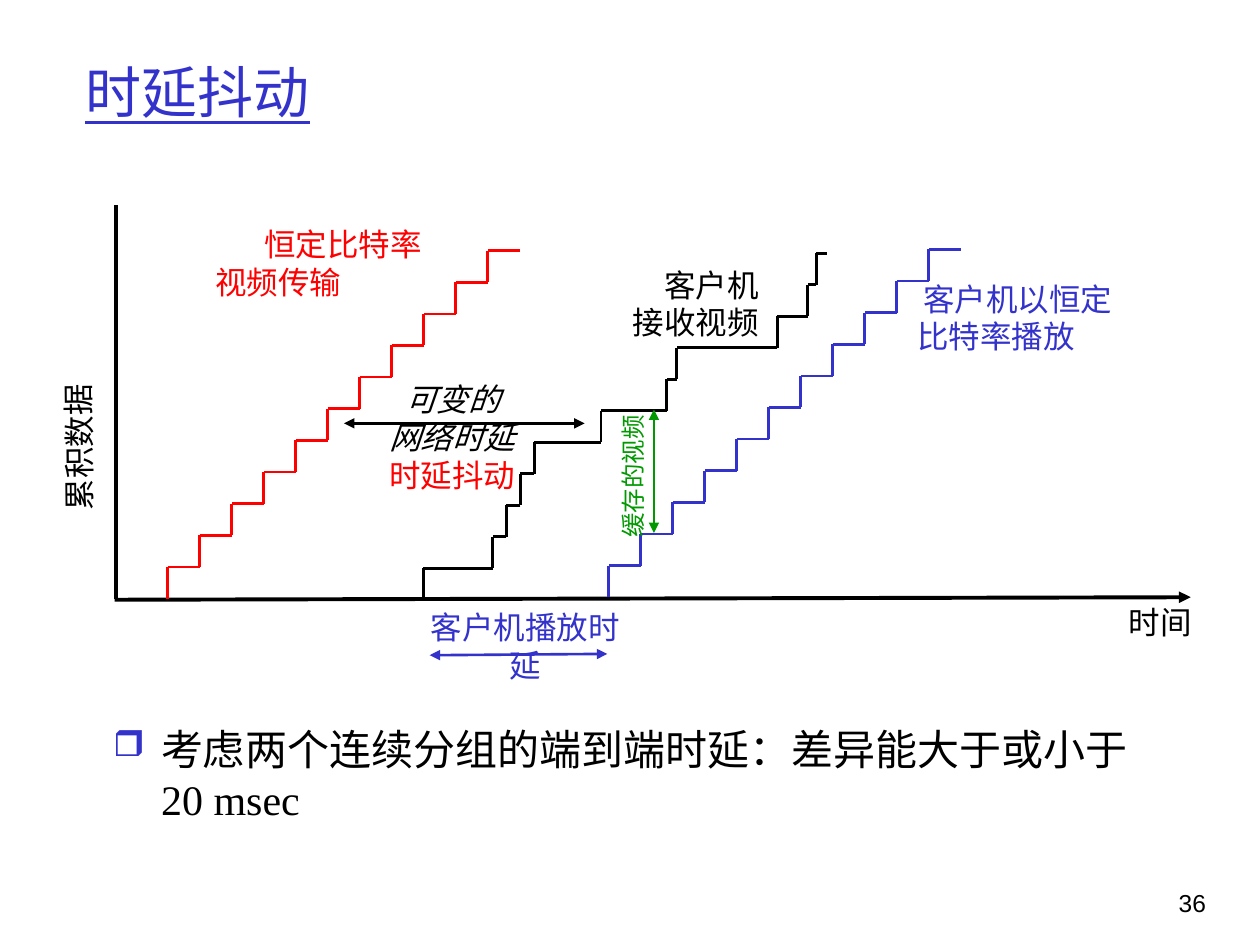
from dataclasses import dataclass

from lxml.etree import SubElement
from pptx import Presentation
from pptx.dml.color import RGBColor
from pptx.enum.shapes import MSO_CONNECTOR
from pptx.enum.text import MSO_ANCHOR, MSO_AUTO_SIZE, PP_ALIGN
from pptx.oxml.ns import qn
from pptx.util import Inches, Pt


@dataclass(frozen=True)
class Theme:
    black: str = "000000"
    red: str = "FF0000"
    blue: str = "3333CC"
    green: str = "009900"
    serif: str = "Times New Roman"
    label: str = "Comic Neue"
    sans: str = "Arial"
    title: int = 32
    body: int = 24
    text: int = 18
    small: int = 14
    axis: float = 2.25
    line: float = 1.5


def write(par, text, font, size, color, italic=False, under=False,
          align=PP_ALIGN.LEFT, left=0, first=0, bullet=None):
    """Fill one paragraph; left and first are indents in inches."""
    par.alignment = align
    props = par._p.get_or_add_pPr()
    if left or first:
        props.set("marL", str(Inches(left)))
        props.set("indent", str(Inches(first)))
    if bullet:
        mark, tint = bullet
        SubElement(SubElement(props, qn("a:buClr")), qn("a:srgbClr"), val=tint)
        SubElement(props, qn("a:buSzPct"), val="85000")
        SubElement(props, qn("a:buChar"), char=mark)
    run = par.add_run()
    run.text = text
    run.font.name = font
    run.font.size = Pt(size)
    run.font.color.rgb = RGBColor.from_string(color)
    run.font.italic = italic
    run.font.underline = under


class Deck:
    def __init__(self, theme):
        self.theme = theme
        self.file = Presentation()
        self.file.slide_width = Inches(10)
        self.file.slide_height = Inches(7.5)
        self.slide = self.file.slides.add_slide(self.file.slide_layouts[6])

    def box(self, x, y, w, h, *pars, wrap=True, grow=True, turn=0,
            anchor=MSO_ANCHOR.TOP, **style):
        """Add a text box; each paragraph is (text, own format)."""
        base = dict(font=self.theme.label, size=self.theme.text,
                    color=self.theme.black)
        shape = self.slide.shapes.add_textbox(
            Inches(x), Inches(y), Inches(w), Inches(h))
        shape.rotation = turn
        frame = shape.text_frame
        frame.word_wrap = wrap
        frame.auto_size = (MSO_AUTO_SIZE.SHAPE_TO_FIT_TEXT if grow
                           else MSO_AUTO_SIZE.NONE)
        frame.vertical_anchor = anchor
        for i, (text, own) in enumerate(pars):
            par = frame.add_paragraph() if i else frame.paragraphs[0]
            write(par, text, **{**base, **style, **own})

    def line(self, x1, y1, x2, y2, color, width=None, head=False, tail=False):
        link = self.slide.shapes.add_connector(
            MSO_CONNECTOR.STRAIGHT,
            Inches(x1), Inches(y1), Inches(x2), Inches(y2))
        link.line.color.rgb = RGBColor.from_string(color)
        link.line.width = Pt(width or self.theme.line)
        stroke = link.line._get_or_add_ln()
        for name, shown in (("a:headEnd", head), ("a:tailEnd", tail)):
            if shown:
                SubElement(stroke, qn(name), type="triangle")
        SubElement(link._element.spPr, qn("a:effectLst"))

    def stairs(self, xs, base, rise, color):
        """Draw a rise at each x but the last, and a tread to the next."""
        for i, (x, after) in enumerate(zip(xs, xs[1:])):
            low = base - i * rise
            high = low - rise
            self.line(x, high, x, low, color)
            self.line(after, high, x, high, color)


def main():
    theme = Theme()
    deck = Deck(theme)

    # Title and body
    deck.box(0.58, 0.25, 8.93, 0.95, ("时延抖动", {}), grow=False,
             anchor=MSO_ANCHOR.MIDDLE, font=theme.serif, size=theme.title,
             color=theme.blue, under=True)
    deck.box(0.8, 5.69, 8.5, 0.97,
             ("考虑两个连续分组的端到端时延：差异能大于或小于20 msec", {}),
             grow=False, font=theme.serif, size=theme.body,
             left=0.38, first=-0.38, bullet=("❒", theme.blue))

    # Axes
    deck.line(0.92, 1.63, 0.92, 4.75, theme.black, theme.axis)
    deck.line(9.45, 4.74, 0.91, 4.76, theme.black, theme.axis, head=True)
    deck.box(-0.45, 2.88, 2.14, 0.4, ("累积数据", {}), turn=269.4)
    deck.box(8.86, 4.74, 0.7, 0.4, ("时间", {}), wrap=False)

    # Sent, received and played data
    count, run, rise = 11, 0.254, 0.251
    sent = [1.33 + i * run for i in range(count + 1)]
    played = [x + 3.5 for x in sent]
    received = [3.36, 3.91, 4.02, 4.13, 4.24, 4.77, 5.29, 5.37, 6.17,
                6.41, 6.48, 6.56]
    deck.stairs(sent, 4.75, rise, theme.red)
    deck.stairs(received, 4.76, 0.25, theme.black)
    deck.stairs(played, 4.74, rise, theme.blue)

    # Curve labels
    deck.box(1.61, 1.74, 2, 0.7, ("恒定比特率视频传输", {}),
             color=theme.red, first=0.39)
    deck.box(4.92, 2.06, 1.2, 0.7, ("客户机", {}), ("接收视频", {}),
             wrap=False, align=PP_ALIGN.RIGHT)
    deck.box(6.67, 2.17, 2.4, 0.7, ("客户机以恒定", {"left": 0.56}),
             ("比特率播放", {"left": 0.51}), color=theme.blue)

    # Network delay
    deck.box(2.99, 2.97, 1.2, 1, ("可变的", {}), ("网络时延", {}),
             ("时延抖动", {"color": theme.red, "italic": False}),
             wrap=False, italic=True, align=PP_ALIGN.CENTER)
    deck.line(2.73, 3.36, 4.64, 3.36, theme.black, head=True, tail=True)

    # Playout delay
    deck.box(3.25, 4.78, 1.84, 0.7, ("客户机播放时延", {}),
             color=theme.blue, align=PP_ALIGN.CENTER)
    deck.line(3.41, 5.2, 4.82, 5.19, theme.blue, head=True, tail=True)

    # Buffered video
    deck.line(5.19, 4.23, 5.19, 3.25, theme.green, head=True, tail=True)
    deck.box(4.33, 3.61, 1.4, 0.34, ("缓存的视频", {}), turn=270,
             size=theme.small, color=theme.green, align=PP_ALIGN.CENTER)

    # Page number
    deck.box(8.93, 7, 0.74, 0.5, ("36", {}), grow=False, font=theme.sans,
             size=theme.small, align=PP_ALIGN.RIGHT)

    deck.file.save("out.pptx")


if __name__ == "__main__":
    main()
